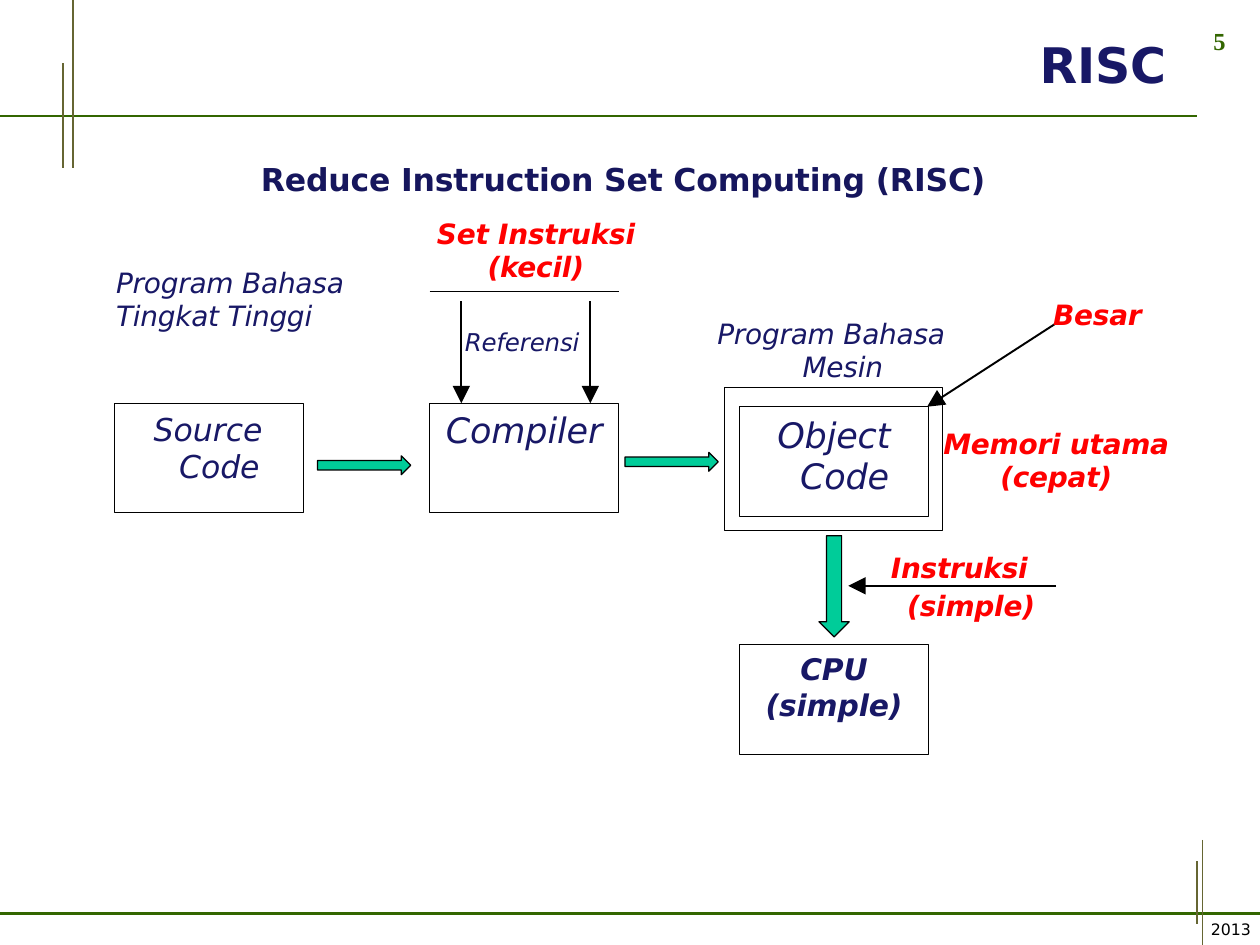
from lxml import etree
from pptx import Presentation
from pptx.dml.color import RGBColor
from pptx.enum.shapes import MSO_CONNECTOR, MSO_SHAPE
from pptx.enum.text import MSO_ANCHOR, PP_ALIGN
from pptx.oxml.ns import qn
from pptx.util import Cm, Pt

STRAIGHT = MSO_CONNECTOR.STRAIGHT
RECTANGLE = MSO_SHAPE.RECTANGLE
RIGHT_ARROW, DOWN_ARROW = MSO_SHAPE.RIGHT_ARROW, MSO_SHAPE.DOWN_ARROW
TOP = MSO_ANCHOR.TOP
LEFT, CENTER = PP_ALIGN.LEFT, PP_ALIGN.CENTER

NAVY = RGBColor(0x18, 0x18, 0x66)
DARK_NAVY = RGBColor(0x16, 0x16, 0x5D)
RED = RGBColor(0xFF, 0, 0)
GREEN = RGBColor(0x33, 0x66, 0)
OLIVE = RGBColor(0x66, 0x66, 0x33)
TEAL = RGBColor(0, 0xCC, 0x99)
BLACK = RGBColor(0, 0, 0)

BOX_WIDTH, BOX_HEIGHT = 3.81, 2.21
SOURCE_X, COMPILER_X, OBJECT_X = 2.31, 8.66, 14.91
BOX_TOP = 8.13


def write_text(frame, text, *, size=16, color=NAVY, font="DejaVu Sans", bold=False,
               italic=True, align=LEFT, spacing=None, indents=(), inset=0, tracking=-10):
    """Fill a frame with one paragraph per line of text; indents and inset are in cm."""
    frame.word_wrap = True
    frame.vertical_anchor = TOP
    frame.margin_left = frame.margin_right = frame.margin_bottom = 0
    frame.margin_top = Cm(inset)
    for index, line in enumerate(text.split("\n")):
        para = frame.add_paragraph() if index else frame.paragraphs[0]
        para.alignment = align
        if spacing:
            para.line_spacing = spacing
        if index < len(indents):
            para._p.get_or_add_pPr().set("marL", str(Cm(indents[index])))
        span = para.add_run()
        span.text = line
        span.font.name, span.font.size = font, Pt(size)
        span.font.bold, span.font.italic = bold, italic
        span.font.color.rgb = color
        span._r.get_or_add_rPr().set("spc", str(tracking))


class Diagram:
    def __init__(self, page, line_width=0.72):
        self.page = page
        self.line_width = line_width

    def label(self, left, top, width, height, text, **style):
        box = self.page.shapes.add_textbox(Cm(left), Cm(top), Cm(width), Cm(height))
        write_text(box.text_frame, text, **style)
        return box

    def shape(self, kind, left, top, width, height, fill=None):
        shape = self.page.shapes.add_shape(kind, Cm(left), Cm(top), Cm(width), Cm(height))
        shape.shadow.inherit = False
        if fill is None:
            shape.fill.background()
        else:
            shape.fill.solid()
            shape.fill.fore_color.rgb = fill
        shape.line.color.rgb = BLACK
        shape.line.width = Pt(self.line_width)
        return shape

    def box(self, left, top, text, **style):
        shape = self.shape(RECTANGLE, left, top, BOX_WIDTH, BOX_HEIGHT)
        write_text(shape.text_frame, text, **style)

    def line(self, x1, y1, x2, y2, color=BLACK, width=None):
        line = self.page.shapes.add_connector(STRAIGHT, Cm(x1), Cm(y1), Cm(x2), Cm(y2))
        line.line.color.rgb = color
        line.line.width = Pt(width or self.line_width)
        etree.SubElement(line._element.spPr, qn("a:effectLst"))
        return line

    def arrow(self, x1, y1, x2, y2):
        arrow = self.line(x1, y1, x2, y2, width=1.1)
        etree.SubElement(arrow.line._get_or_add_ln(), qn("a:tailEnd"),
                         type="triangle", w="lg", len="lg")


def draw_frame(diagram):
    """Draw the rules, title, page number and year around the diagram."""
    for x1, y, x2 in ((0, 2.34, 24.13), (0, 18.41, 25.4)):
        diagram.line(x1, y, x2, y, GREEN, 1.56)
    for x, y1, y2 in ((1.47, 0, 3.39), (1.27, 1.27, 3.39),
                      (24.13, 17.36, 18.63), (24.24, 16.93, 19.05)):
        diagram.line(x, y1, x, y2, OLIVE, 0.96)
    diagram.label(24.46, 0.53, 0.4, 0.66, "5", size=14, color=GREEN,
                  font="Times New Roman", bold=True, italic=False)
    diagram.label(20.96, 0.69, 2.9, 1.24, "RISC", size=28, bold=True, italic=False)
    diagram.label(24.41, 18.54, 0.95, 0.45, "2013", size=9, color=BLACK,
                  italic=False, tracking=0)


def draw_boxes(diagram):
    diagram.shape(RECTANGLE, 14.61, 7.82, 4.39, 2.87)
    diagram.box(SOURCE_X, BOX_TOP, "Source\nCode", size=18, spacing=Pt(21.2),
                indents=(0.79, 1.3), inset=0.15, tracking=0)
    diagram.box(COMPILER_X, BOX_TOP, "Compiler", size=20, indents=(0.33,), inset=0.1)
    diagram.box(OBJECT_X, 8.2, "Object\nCode", size=20, spacing=Pt(23.6),
                indents=(0.76, 1.22), inset=0.15)
    diagram.box(OBJECT_X, 13, "CPU\n(simple)", size=17, bold=True, align=CENTER,
                spacing=Pt(20.2), inset=0.13)


def draw_arrows(diagram):
    for left, top in ((6.4, 9.19), (12.6, 9.12)):
        diagram.shape(RIGHT_ARROW, left, top, 1.88, 0.38, TEAL)
    diagram.shape(DOWN_ARROW, 16.51, 10.8, 0.61, 2.04, TEAL)
    diagram.line(COMPILER_X, 5.87, COMPILER_X + BOX_WIDTH, 5.87)
    for x in (9.3, 11.9):
        diagram.arrow(x, 6.07, x, BOX_TOP)
    diagram.arrow(21.29, 11.81, 17.1, 11.81)
    diagram.arrow(21.3, 6.51, 18.69, 8.2)


def draw_labels(diagram):
    warning = {"color": RED, "bold": True}
    heading = diagram.label(5.26, 3.23, 15.2, 1.85, "Reduce Instruction Set Computing (RISC)",
                            size=18, color=DARK_NAVY, bold=True, italic=False)
    heading.height = Cm(0.8)
    diagram.label(8.81, 4.36, 4.2, 0.7, "Set Instruksi", **warning)
    diagram.label(9.83, 5.03, 2.2, 0.74, "(kecil)", **warning)
    diagram.label(2.34, 5.36, 4.9, 1.42, "Program Bahasa\nTingkat Tinggi", spacing=Pt(19))
    diagram.label(14.43, 6.4, 4.9, 1.42, "Program Bahasa\nMesin", spacing=Pt(18.8),
                  indents=(0.03, 1.75))
    diagram.label(9.37, 6.6, 2.5, 0.66, "Referensi", size=14)
    diagram.label(21.23, 5.99, 2, 0.74, "Besar", **warning)
    diagram.label(18.87, 8.61, 4.85, 1.42, "Memori utama\n(cepat)", align=CENTER,
                  spacing=Pt(19), **warning)
    diagram.label(17.93, 11.02, 3.2, 1.57, "Instruksi\n(simple)", spacing=1.12,
                  indents=(0.03, 0.36), **warning)


def main():
    deck = Presentation()
    deck.slide_width, deck.slide_height = Cm(25.4), Cm(19.05)
    diagram = Diagram(deck.slides.add_slide(deck.slide_layouts[6]))
    draw_frame(diagram)
    draw_boxes(diagram)
    draw_arrows(diagram)
    draw_labels(diagram)
    deck.save("out.pptx")


if __name__ == "__main__":
    main()
